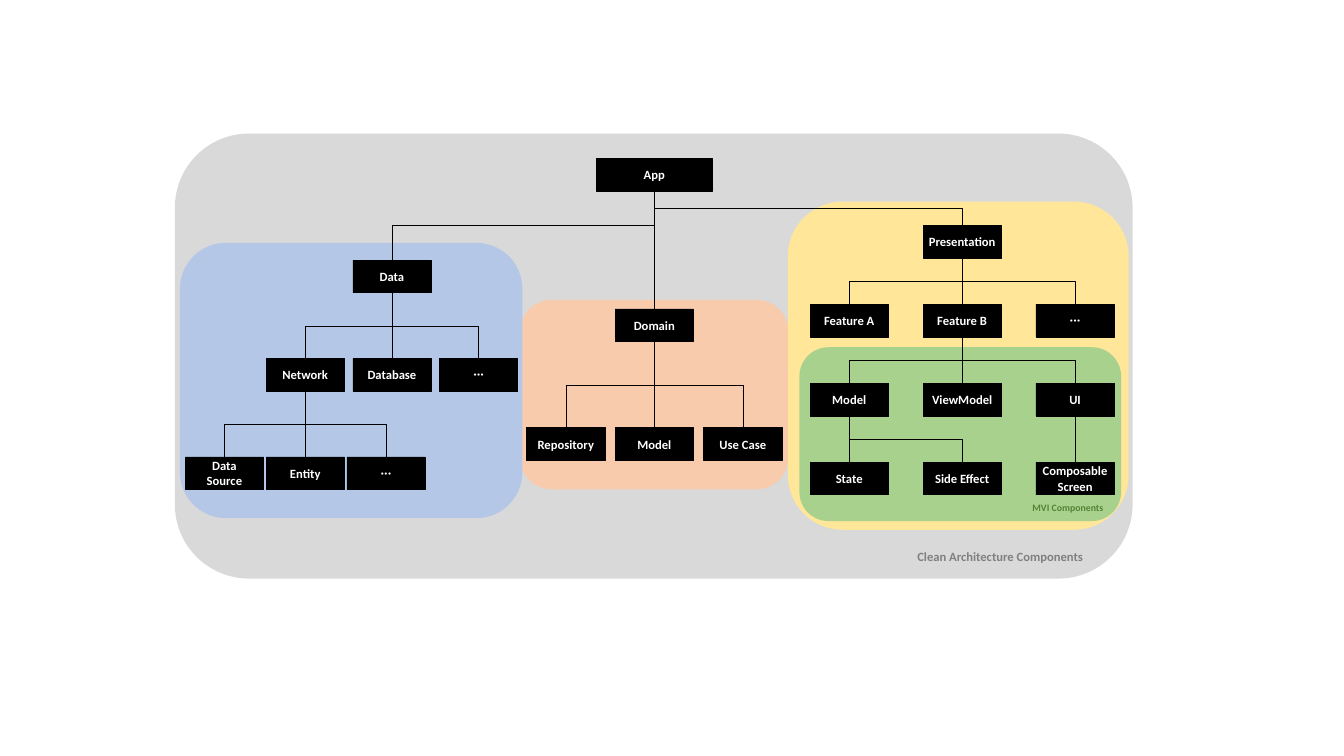
from lxml import etree
from pptx import Presentation
from pptx.dml.color import RGBColor
from pptx.enum.shapes import MSO_CONNECTOR, MSO_SHAPE
from pptx.enum.text import MSO_ANCHOR, MSO_AUTO_SIZE, PP_ALIGN
from pptx.oxml.ns import qn
from pptx.util import Cm, Pt

COLORS = {
    "all": "D9D9D9", "domain": "F8CBAD", "data": "B4C7E7",
    "presentation": "FFE699", "mvi": "A9D18E",
    "box": "000000", "label": "FFFFFF",
    "mvi caption": "548235", "all caption": "808080",
}

# Rounded panels, back to front: left, top, width, height in cm
PANELS = [
    ("all", 8.81, 6.73, 48.26, 22.43),
    ("domain", 26.21, 15.11, 13.51, 9.55),
    ("data", 9.07, 12.24, 17.25, 13.87),
    ("presentation", 39.7, 10.16, 17.17, 16.54),
    ("mvi", 40.28, 17.5, 16.21, 8.76),
]

# Top modules: label, centre x, top, width in cm
BOX_WIDTH, BOX_HEIGHT = 3.94, 1.65
MODULES = [
    ("App", 32.97, 7.98, 5.8),
    ("Data", 19.75, 13.11, BOX_WIDTH),
    ("Domain", 32.97, 15.57, BOX_WIDTH),
    ("Presentation", 48.48, 11.35, BOX_WIDTH),
]

# Branches: parent, column pitch, row drop, children as (column, key, label)
BRANCHES = [
    ("Data", 4.37, 4.96, [(-1, "Network", "Network"), (0, "Database", "Database"),
                          (1, "more data", "···")]),
    ("Network", 4.07, 4.96, [(-1, "Data Source", "Data\nSource"), (0, "Entity", "Entity"),
                             (1, "more network", "···")]),
    ("Domain", 4.46, 5.99, [(-1, "Repository", "Repository"), (0, "Domain Model", "Model"),
                            (1, "Use Case", "Use Case")]),
    ("Presentation", 5.69, 3.98, [(-1, "Feature A", "Feature A"), (0, "Feature B", "Feature B"),
                                  (1, "more features", "···")]),
    ("Feature B", 5.69, 3.98, [(-1, "MVI Model", "Model"), (0, "ViewModel", "ViewModel"),
                               (1, "UI", "UI")]),
    ("MVI Model", 5.69, 3.98, [(0, "State", "State"), (1, "Side Effect", "Side Effect")]),
    ("UI", 5.69, 3.98, [(0, "Screen", "Composable\nScreen")]),
]

# Captions: text, colour, size, wrap, left, top, width, height in cm
CAPTIONS = [
    ("MVI Components", "mvi caption", 14, False, 51.77, 25.17, 4.11, 0.86),
    ("Clean Architecture Components", "all caption", 18, True, 45.97, 27.53, 8.92, 1.02),
]


def color(name):
    return RGBColor.from_string(COLORS[name])


def add_block(page, kind, fill, left, top, width, height):
    block = page.shapes.add_shape(kind, Cm(left), Cm(top), Cm(width), Cm(height))
    block.shadow.inherit = False
    block.fill.solid()
    block.fill.fore_color.rgb = color(fill)
    block.line.fill.background()
    return block


def add_span(para, text, size, fill):
    span = para.add_run()
    span.text = text
    span.font.name = "Open Sans" if text == "···" else "Calibri"
    span.font.size = Pt(size)
    span.font.bold = True
    span.font.color.rgb = color(fill)


def add_box(page, label, center, top, width=BOX_WIDTH):
    box = add_block(page, MSO_SHAPE.RECTANGLE, "box", center - width / 2, top, width, BOX_HEIGHT)
    box.line.color.rgb = color("box")
    box.line.width = Pt(1)
    frame = box.text_frame
    frame.word_wrap = True
    frame.vertical_anchor = MSO_ANCHOR.MIDDLE
    for index, text in enumerate(label.split("\n")):
        para = frame.add_paragraph() if index else frame.paragraphs[0]
        para.alignment = PP_ALIGN.CENTER
        add_span(para, text, 18, "label")
    return box


def join(page, parent, child):
    """Connect bottom of parent to top of child, bending halfway down."""
    x1, y1 = parent.left + parent.width // 2, parent.top + parent.height
    x2, y2 = child.left + child.width // 2, child.top
    across, down = abs(x2 - x1), y2 - y1
    straight = across < Cm(0.02)
    kind = MSO_CONNECTOR.STRAIGHT if straight else MSO_CONNECTOR.ELBOW
    line = page.shapes.add_connector(kind, x1, y1, x2, y2)
    line.begin_connect(parent, 2)
    line.end_connect(child, 0)
    line.line.color.rgb = color("box")
    line.line.width = Pt(0.5)
    etree.SubElement(line._element.spPr, qn("a:effectLst"))
    if not straight:
        # A vertical elbow is a horizontal one turned by a quarter
        frame = line._element.spPr.find(qn("a:xfrm"))
        for name in ("flipH", "flipV"):
            frame.attrib.pop(name, None)
        frame.set("rot", str((90 if x2 < x1 else 270) * 60000))
        if x2 > x1:
            frame.set("flipH", "1")
        line.left, line.top = (x1 + x2 - down) // 2, (y1 + y2 - across) // 2
        line.width, line.height = down, across


def main():
    deck = Presentation()
    deck.slide_width, deck.slide_height = Cm(67.72), Cm(38.1)
    page = deck.slides.add_slide(deck.slide_layouts[6])

    # Panels
    for panel in PANELS:
        add_block(page, MSO_SHAPE.ROUNDED_RECTANGLE, *panel)

    # Modules under the app
    boxes, places = {}, {}
    for label, center, top, width in MODULES:
        boxes[label] = add_box(page, label, center, top, width)
        places[label] = center, top
    for label, *_ in MODULES[1:]:
        join(page, boxes["App"], boxes[label])

    # Branches under each module
    for parent, pitch, drop, children in BRANCHES:
        center, top = places[parent]
        for column, key, label in children:
            places[key] = center + column * pitch, top + drop
            boxes[key] = add_box(page, label, *places[key])
            join(page, boxes[parent], boxes[key])

    # Captions
    for text, fill, size, wrap, *area in CAPTIONS:
        caption = page.shapes.add_textbox(*map(Cm, area))
        caption.text_frame.word_wrap = wrap
        caption.text_frame.auto_size = MSO_AUTO_SIZE.SHAPE_TO_FIT_TEXT
        add_span(caption.text_frame.paragraphs[0], text, size, fill)

    deck.save("out.pptx")


if __name__ == "__main__":
    main()
